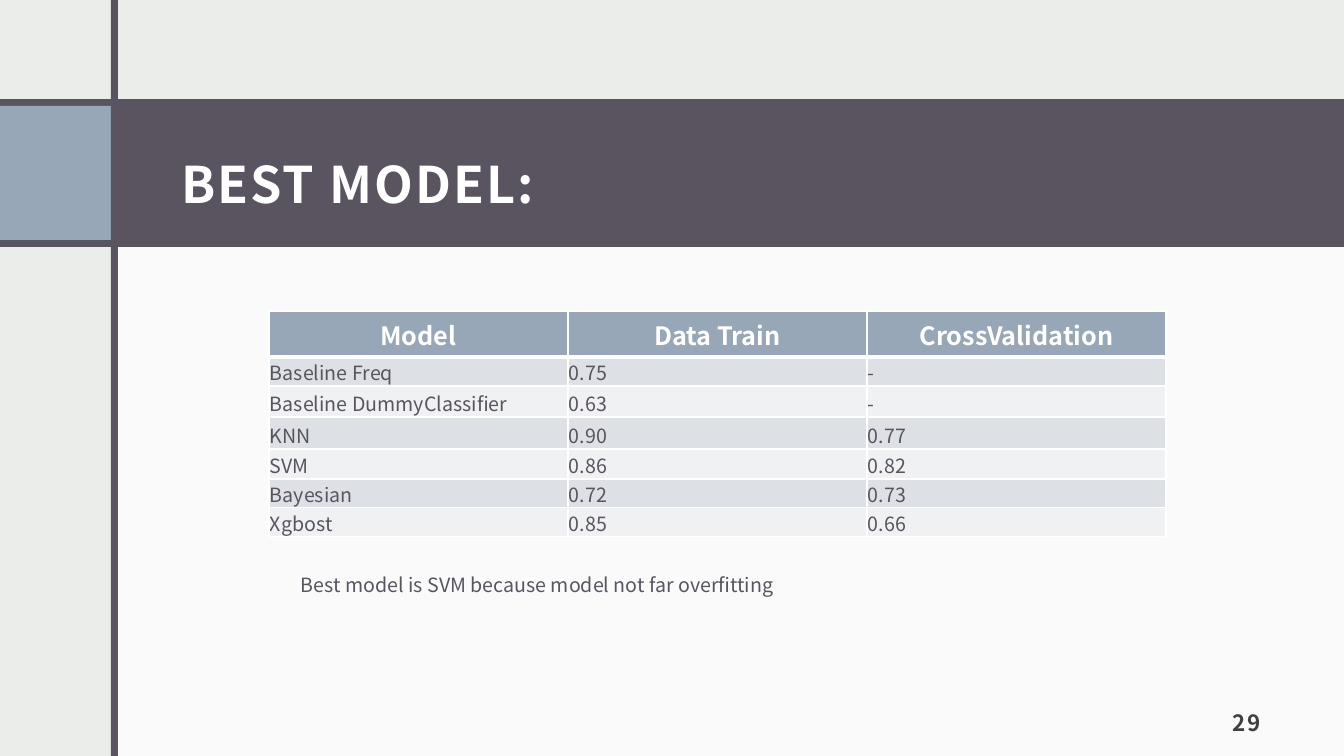
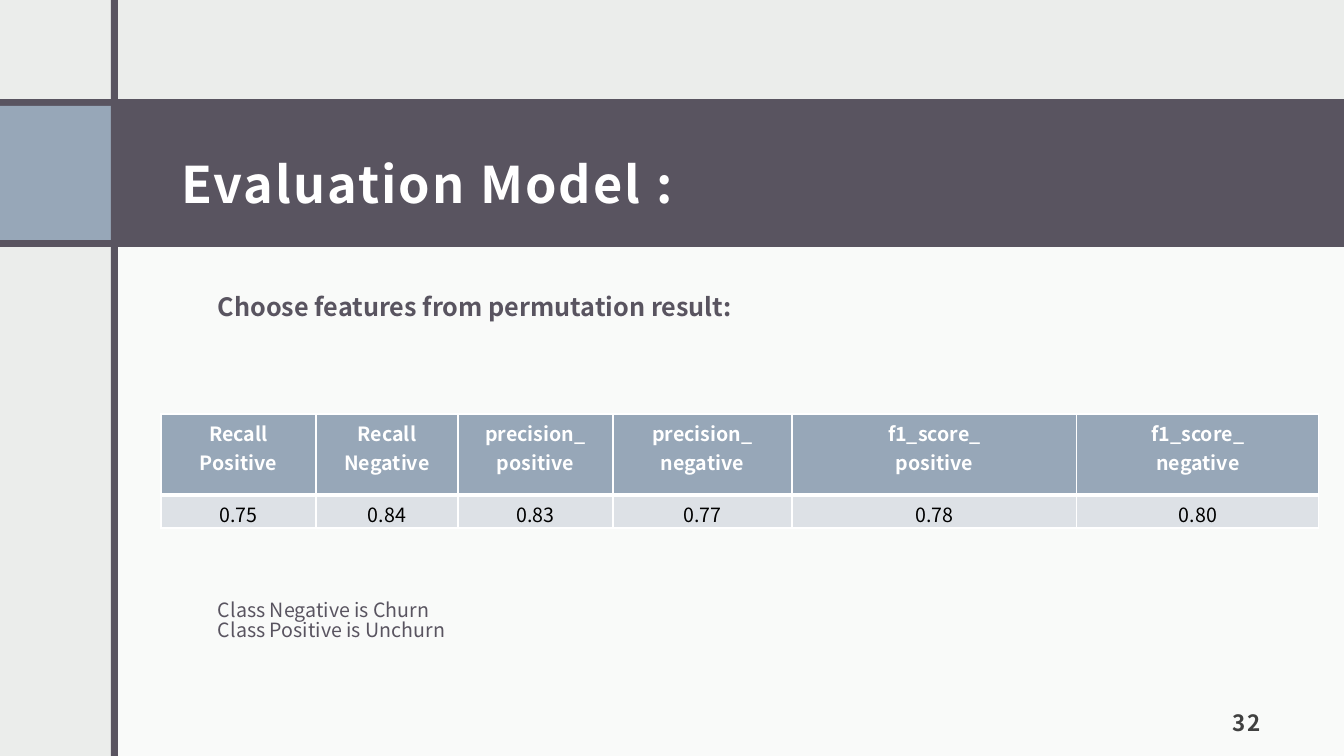
from dataclasses import dataclass
from typing import NamedTuple

from lxml.etree import SubElement
from pptx import Presentation
from pptx.dml.color import RGBColor
from pptx.enum.shapes import MSO_SHAPE as Shape
from pptx.enum.text import MSO_ANCHOR as Anchor, PP_ALIGN as Align
from pptx.oxml.ns import qn
from pptx.slide import Slide
from pptx.table import _Cell as Cell
from pptx.text.text import TextFrame
from pptx.util import Emu, Pt

EMU_PER_PX = 914400 / 100.8
WIDTH, HEIGHT = 1344, 756
FONT = "Noto Sans CJK JP"

PALE, WHITE, BLACK = "EBEDEB", "FFFFFF", "000000"
PLUM, STEEL, CHARCOAL = "595460", "97A7B8", "404040"
STRIPES = ("DDE1E6", "EFF1F3")


class Box(NamedTuple):
    x: int
    y: int
    w: int
    h: int


class Insets(NamedTuple):
    left: int
    top: int
    right: int
    bottom: int


@dataclass(frozen=True)
class Band:
    box: Box
    fill: str
    opacity: int = 100


@dataclass(frozen=True)
class Style:
    size: int
    color: str = PLUM
    bold: bool = False
    tracking: float = 0
    align: Align = Align.LEFT
    line_spacing: float = 1.0


@dataclass(frozen=True)
class Label:
    box: Box
    lines: str
    style: Style
    anchor: Anchor = Anchor.TOP
    insets: Insets = Insets(10, 5, 10, 5)


@dataclass(frozen=True)
class Grid:
    x: int
    y: int
    cols: list[int]
    row_heights: list[int]
    rows: list[list[str]]
    head: Style
    body: Style
    body_insets: Insets
    body_anchor: Anchor = Anchor.TOP


@dataclass(frozen=True)
class Page:
    title: str
    number: int
    grid: Grid
    notes: list[Label]


BANDS = [
    Band(Box(115, 235, WIDTH - 115, HEIGHT - 235), WHITE, 75),
    Band(Box(0, 99, WIDTH, 148), PLUM),
    Band(Box(0, 106, 111, 134), STEEL),
    Band(Box(111, 0, 7, HEIGHT), PLUM),
]
TITLE_BOX, NUMBER_BOX = Box(169, 115, 1104, 114), Box(1165, 696, 108, 50)
FRAME_INSETS = Insets(12, 12, 12, 10)
TITLE = Style(36, WHITE, True, 1.5, line_spacing=1.35)
NUMBER = Style(16, CHARCOAL, True, 1.5, Align.RIGHT)
NOTE = Style(14, line_spacing=0.84)
LEAD = Style(18, bold=True, line_spacing=0.84)

PAGES = [
    Page(
        "BEST MODEL:", 29,
        Grid(
            269, 311, [299] * 3, [46, 29, 31, 32, 30, 29, 29],
            [
                ["Model", "Data Train", "CrossValidation"],
                ["Baseline Freq", "0.75", "-"],
                ["Baseline DummyClassifier", "0.63", "-"],
                ["KNN", "0.90", "0.77"],
                ["SVM", "0.86", "0.82"],
                ["Bayesian", "0.72", "0.73"],
                ["Xgbost", "0.85", "0.66"],
            ],
            Style(18, WHITE, True, align=Align.CENTER), Style(14),
            Insets(1, 1, 1, 0), Anchor.BOTTOM,
        ),
        [Label(Box(291, 572, 527, 34),
               "Best model is SVM because model not far overfitting", NOTE)],
    ),
    Page(
        "Evaluation Model :", 32,
        Grid(
            161, 414, [155, 142, 155, 179, 285, 242], [81, 33],
            [
                ["Recall Positive", "Recall Negative",
                 "precision_\npositive", "precision_\nnegative",
                 "f1_score_\npositive", "f1_score_\nnegative"],
                ["0.75", "0.84", "0.83", "0.77", "0.78", "0.80"],
            ],
            Style(14, WHITE, True, align=Align.CENTER),
            Style(14, BLACK, align=Align.CENTER), Insets(10, 5, 10, 0),
        ),
        [
            Label(Box(208, 291, 584, 40),
                  "Choose features from permutation result:", LEAD),
            Label(Box(208, 597, 260, 58),
                  "Class Negative is Churn\nClass Positive is Unchurn", NOTE),
        ],
    ),
]


def px(n: int) -> Emu:
    return Emu(round(n * EMU_PER_PX))


def rgb(color: str) -> RGBColor:
    return RGBColor.from_string(color)


def write(tf: TextFrame, text: str, style: Style) -> None:
    for i, line in enumerate(text.split("\n")):
        p = tf.add_paragraph() if i else tf.paragraphs[0]
        p.alignment = style.align
        p.line_spacing = style.line_spacing
        r = p.add_run()
        r.text = line
        r.font.name, r.font.size = FONT, Pt(style.size)
        r.font.bold = style.bold
        r.font.color.rgb = rgb(style.color)
        if style.tracking:
            r.font._element.set("spc", str(round(style.tracking * 100)))


def set_insets(target: TextFrame | Cell, insets: Insets) -> None:
    target.margin_left, target.margin_top = px(insets.left), px(insets.top)
    target.margin_right, target.margin_bottom = px(insets.right), px(insets.bottom)


def add_band(slide: Slide, band: Band) -> None:
    sp = slide.shapes.add_shape(Shape.RECTANGLE, *map(px, band.box))
    sp.shadow.inherit = False
    sp.line.fill.background()
    sp.fill.solid()
    sp.fill.fore_color.rgb = rgb(band.fill)
    if band.opacity < 100:
        color = sp._element.spPr.find(f"{qn('a:solidFill')}/{qn('a:srgbClr')}")
        SubElement(color, qn("a:alpha")).set("val", str(band.opacity * 1000))


def add_label(slide: Slide, label: Label) -> None:
    tf = slide.shapes.add_textbox(*map(px, label.box)).text_frame
    tf.word_wrap = True
    tf.vertical_anchor = label.anchor
    set_insets(tf, label.insets)
    write(tf, label.lines, label.style)


def add_borders(cell: Cell, top: int, bottom: int) -> None:
    """Draw white cell borders; widths in points, sides always 1."""
    tc_pr = cell._tc.get_or_add_tcPr()
    for side, width in (("L", 1), ("R", 1), ("T", top), ("B", bottom)):
        ln = SubElement(tc_pr, qn(f"a:ln{side}"), w=str(Pt(width)))
        fill = SubElement(ln, qn("a:solidFill"))
        SubElement(fill, qn("a:srgbClr"), val=WHITE)


def add_grid(slide: Slide, grid: Grid) -> None:
    box = Box(grid.x, grid.y, sum(grid.cols), sum(grid.row_heights))
    table = slide.shapes.add_table(
        len(grid.rows), len(grid.cols), *map(px, box)).table
    table.horz_banding = False
    for col, width in zip(table.columns, grid.cols):
        col.width = px(width)
    for i, (row, height) in enumerate(zip(table.rows, grid.row_heights)):
        row.height = px(height)
        for cell, text in zip(row.cells, grid.rows[i]):
            add_borders(cell, 3 if i == 1 else 1, 1 if i else 3)
            cell.fill.solid()
            cell.fill.fore_color.rgb = rgb(STRIPES[(i - 1) % 2] if i else STEEL)
            if i:
                set_insets(cell, grid.body_insets)
                cell.vertical_anchor = grid.body_anchor
            write(cell.text_frame, text, grid.body if i else grid.head)


def add_page(prs: Presentation, page: Page) -> None:
    slide = prs.slides.add_slide(prs.slide_layouts[6])
    for band in BANDS:
        add_band(slide, band)
    add_label(slide, Label(TITLE_BOX, page.title, TITLE,
                           Anchor.MIDDLE, FRAME_INSETS))
    add_label(slide, Label(NUMBER_BOX, str(page.number), NUMBER,
                           Anchor.BOTTOM, FRAME_INSETS))
    add_grid(slide, page.grid)
    for note in page.notes:
        add_label(slide, note)


def main() -> None:
    prs = Presentation()
    prs.slide_width, prs.slide_height = px(WIDTH), px(HEIGHT)
    background = prs.slide_master.background.fill
    background.solid()
    background.fore_color.rgb = rgb(PALE)
    for page in PAGES:
        add_page(prs, page)
    prs.save("out.pptx")


if __name__ == "__main__":
    main()
